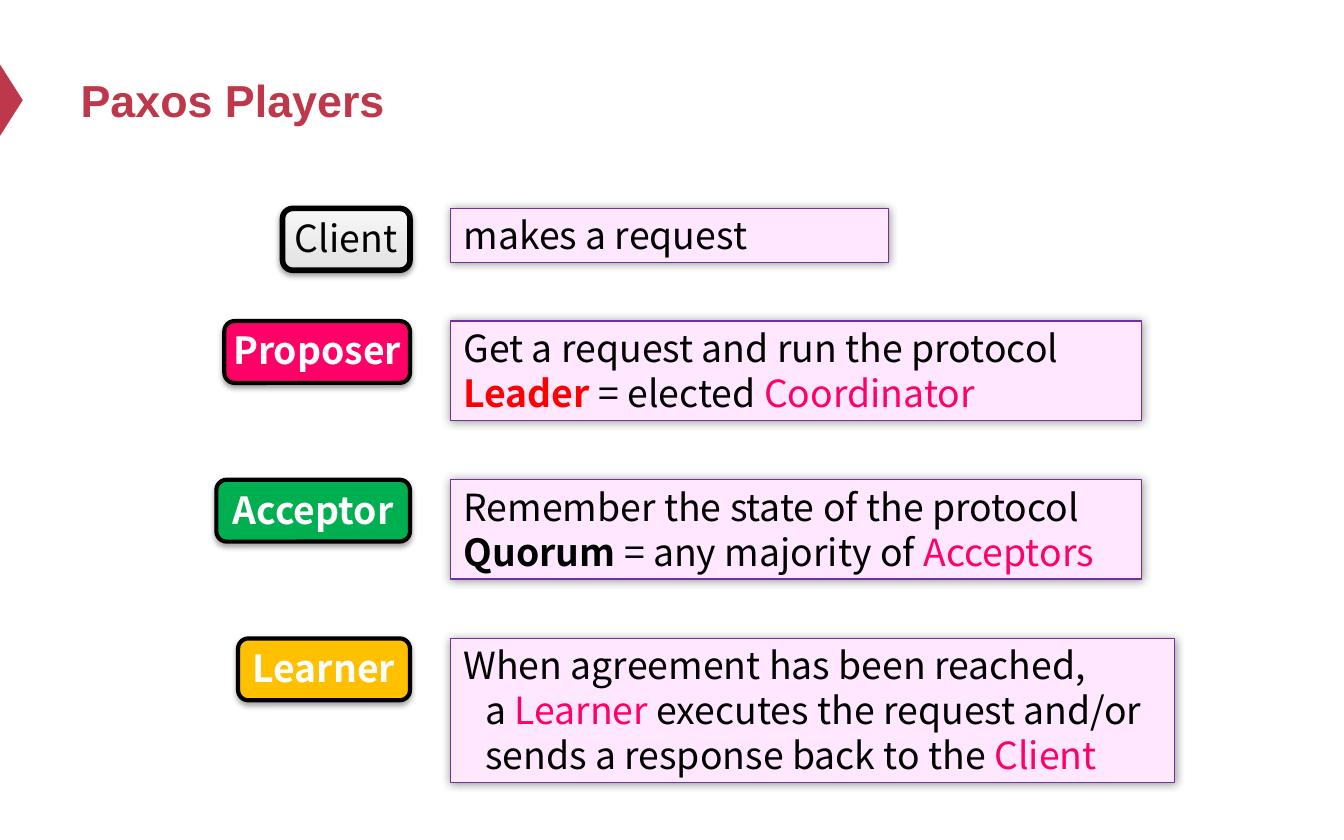
from dataclasses import dataclass

from lxml.etree import SubElement
from pptx import Presentation
from pptx.dml.color import RGBColor
from pptx.enum.shapes import MSO_SHAPE as Shape
from pptx.enum.text import MSO_ANCHOR as Anchor, PP_ALIGN as Align
from pptx.oxml.ns import qn
from pptx.util import Cm, Pt

BLACK = RGBColor(0x00, 0x00, 0x00)
WHITE = RGBColor(0xFF, 0xFF, 0xFF)
CRIMSON = RGBColor(0xBE, 0x38, 0x4B)
RED = RGBColor(0xFF, 0x00, 0x00)
PINK = RGBColor(0xFF, 0x00, 0x66)
GREEN = RGBColor(0x00, 0xB0, 0x50)
AMBER = RGBColor(0xFF, 0xC0, 0x00)
LILAC = RGBColor(0xFF, 0xE7, 0xFF)
PURPLE = RGBColor(0x70, 0x30, 0xA0)
SILVER = RGBColor(0xE2, 0xE2, 0xE2)
PALE = RGBColor(0xF7, 0xF7, 0xF7)

FONT = "Noto Sans CJK SC"
ROLE_RIGHT = 7.75
ROLE_HEIGHT = 1.17
NOTE_LEFT = 8.51
HANGING = Cm(0.41)


@dataclass
class Span:
    text: str
    color: RGBColor = BLACK
    bold: bool = False


@dataclass
class Shadow:
    alpha: int
    blur: float
    distance: float
    angle: int


@dataclass
class Player:
    name: str
    top: float
    role_width: float
    fill: RGBColor | None
    spacing: float
    bottom_inset: float
    shadow: Shadow
    note_width: float
    note_height: float
    note: list[list[Span]]


NOTE_SHADOW = Shadow(40, 5, 0, 0)
NEAR_SHADOW = Shadow(38, 3.1, 1.6, 90)
FAR_SHADOW = Shadow(35, 3.1, 1.8, 90)

PLAYERS = [
    Player("Client", 3.94, 2.41, None, 0.8, 0, NEAR_SHADOW, 8.28, 1.02,
           [[Span("makes a request")]]),
    Player("Proposer", 6.07, 3.51, PINK, 0.8, 0, NEAR_SHADOW, 13.06, 1.88,
           [[Span("Get a request and run the protocol")],
            [Span("Leader", RED, True), Span(" = elected "),
             Span("Coordinator", PINK)]]),
    Player("Acceptor", 9.07, 3.66, GREEN, 1, 0.13, FAR_SHADOW, 13.06, 1.88,
           [[Span("Remember the state of the protocol")],
            [Span("Quorum", BLACK, True), Span(" = any majority of "),
             Span("Acceptors", PINK)]]),
    Player("Learner", 12.07, 3.25, AMBER, 1, 0.13, FAR_SHADOW, 13.69, 2.72,
           [[Span("When agreement has been reached,\na "), Span("Learner", PINK),
             Span(" executes the request and/or sends a response back to the "),
             Span("Client", PINK)]]),
]


def set_attrs(target, values: dict) -> None:
    for name, value in values.items():
        setattr(target, name, value)


def add_shadow(sp, shadow: Shadow) -> None:
    sp.shadow.inherit = False
    effects = sp._element.spPr.find(qn("a:effectLst"))
    outer = SubElement(effects, qn("a:outerShdw"), {
        "blurRad": str(Pt(shadow.blur)), "dist": str(Pt(shadow.distance)),
        "dir": str(shadow.angle * 60000), "rotWithShape": "0"})
    color = SubElement(outer, qn("a:srgbClr"), val=str(BLACK))
    SubElement(color, qn("a:alpha"), val=str(shadow.alpha * 1000))


def add_box(s, kind: Shape, left: float, top: float, width: float,
            height: float, fill: RGBColor | None, line: RGBColor,
            line_width: float, shadow: Shadow):
    sp = s.shapes.add_shape(kind, Cm(left), Cm(top), Cm(width), Cm(height))
    if fill is None:
        sp.fill.gradient()
        sp.fill.gradient_angle = 90
        for stop, color in zip(sp.fill.gradient_stops, (SILVER, PALE)):
            stop.color.rgb = color
    else:
        sp.fill.solid()
        sp.fill.fore_color.rgb = fill
    sp.line.color.rgb = line
    sp.line.width = Pt(line_width)
    add_shadow(sp, shadow)
    return sp


def add_span(p, span: Span) -> None:
    for i, text in enumerate(span.text.split("\n")):
        if i:
            p.add_line_break()
        r = p.add_run()
        r.text = text
        set_attrs(r.font, {"name": FONT, "size": Pt(20), "bold": span.bold})
        r.font.color.rgb = span.color


def add_role(s, player: Player) -> None:
    plain = player.fill is None
    sp = add_box(s, Shape.ROUNDED_RECTANGLE, ROLE_RIGHT - player.role_width,
                 player.top, player.role_width, ROLE_HEIGHT, player.fill,
                 BLACK, 3 if plain else 2.25, player.shadow)
    tf = sp.text_frame
    side = Cm(0.2 if plain else 0)
    set_attrs(tf, {"word_wrap": False, "vertical_anchor": Anchor.MIDDLE,
                   "margin_left": side, "margin_right": side,
                   "margin_top": Cm(0.08),
                   "margin_bottom": Cm(player.bottom_inset)})
    p = tf.paragraphs[0]
    set_attrs(p, {"alignment": Align.CENTER, "line_spacing": player.spacing})
    add_span(p, Span(player.name, BLACK if plain else WHITE, not plain))


def add_note(s, player: Player) -> None:
    sp = add_box(s, Shape.RECTANGLE, NOTE_LEFT, player.top, player.note_width,
                 player.note_height, LILAC, PURPLE, 0.75, NOTE_SHADOW)
    tf = sp.text_frame
    set_attrs(tf, {"word_wrap": True, "vertical_anchor": Anchor.TOP,
                   "margin_left": Cm(0.25), "margin_right": 0,
                   "margin_top": Cm(0.08), "margin_bottom": Cm(0.08)})
    for i, spans in enumerate(player.note):
        p = tf.add_paragraph() if i else tf.paragraphs[0]
        p.alignment = Align.LEFT
        pPr = p._p.get_or_add_pPr()
        pPr.set("marL", str(HANGING))
        pPr.set("indent", str(-HANGING))
        for span in spans:
            add_span(p, span)


def add_title(s, text: str) -> None:
    marker = s.shapes.add_shape(Shape.ISOSCELES_TRIANGLE, Cm(-0.46), Cm(1.68),
                                Cm(1.35), Cm(0.43))
    marker.rotation = 90
    marker.shadow.inherit = False
    marker.fill.solid()
    marker.fill.fore_color.rgb = CRIMSON
    marker.line.fill.background()
    title = s.shapes.title
    set_attrs(title, {"left": Cm(1.27), "top": Cm(0.64),
                      "width": Cm(22.86), "height": Cm(2.49)})
    tf = title.text_frame
    tf.text = text
    tf.vertical_anchor = Anchor.MIDDLE
    p = tf.paragraphs[0]
    p.alignment = Align.LEFT
    set_attrs(p.font, {"name": "Arial", "size": Pt(24), "bold": True})
    p.font.color.rgb = CRIMSON


def main() -> None:
    prs = Presentation()
    set_attrs(prs, {"slide_width": Cm(25.4), "slide_height": Cm(15.88)})
    s = prs.slides.add_slide(prs.slide_layouts[5])
    add_title(s, "Paxos Players")
    for player in PLAYERS:
        add_note(s, player)
        add_role(s, player)
    prs.save("out.pptx")


if __name__ == "__main__":
    main()
